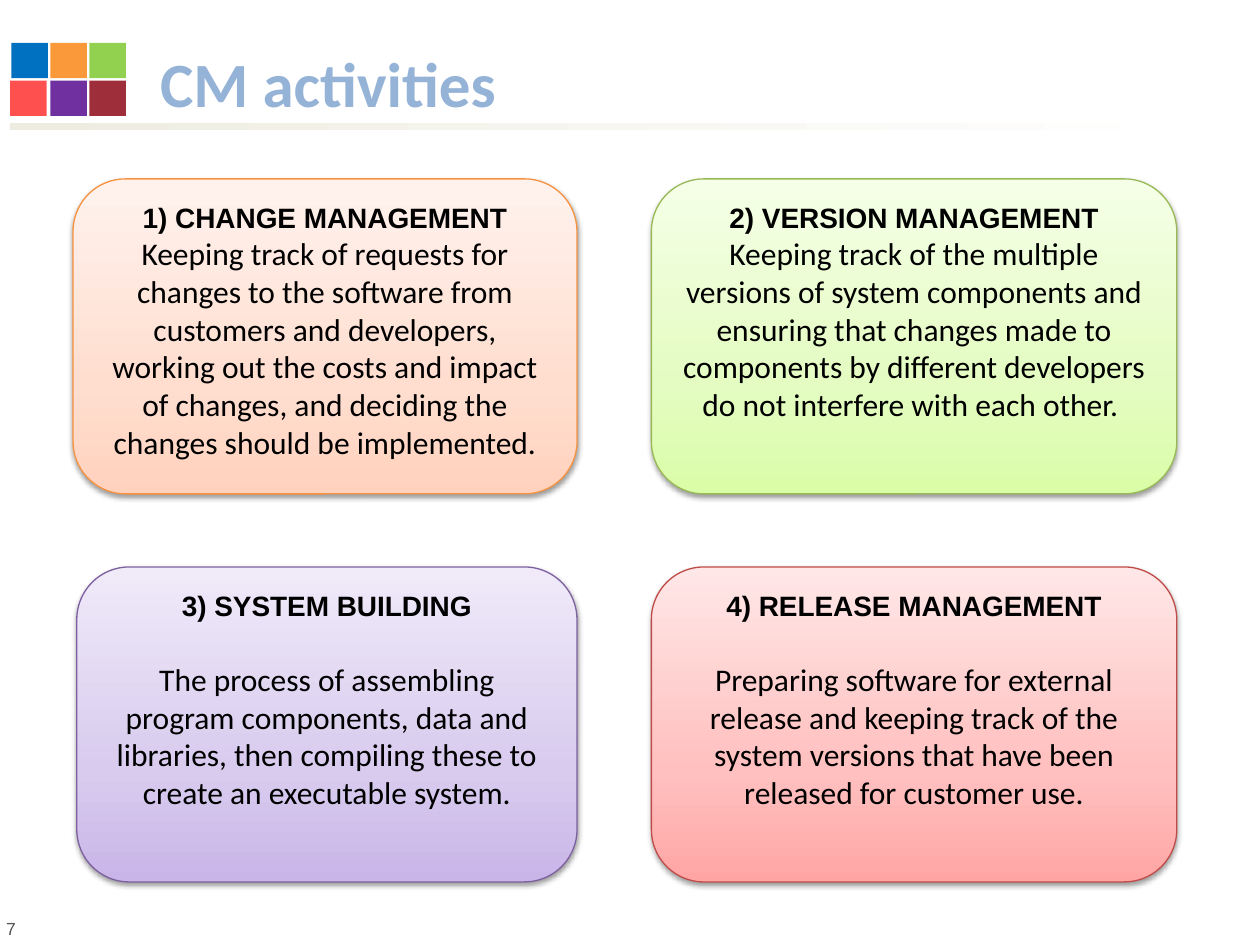
from lxml.etree import SubElement
from pptx import Presentation
from pptx.dml.color import RGBColor
from pptx.enum.shapes import MSO_SHAPE
from pptx.enum.text import MSO_ANCHOR, PP_ALIGN
from pptx.oxml.ns import qn
from pptx.util import Inches, Pt

CARDS = [
    (0.58, 1.42, 4, "F69240", ("FFD2BD", "FFDED0", "FFF2ED"), "1) CHANGE MANAGEMENT",
     "Keeping track of requests for changes to the software from customers and developers, "
     "working out the costs and impact of changes, and deciding the changes should be implemented.", 0),
    (5.17, 1.42, 4.17, "98B955", ("DAFDA7", "E4FCC2", "F5FFE7"), "2) VERSION MANAGEMENT",
     "Keeping track of the multiple versions of system components and ensuring that changes "
     "made to components by different developers do not interfere with each other. ", 0),
    (0.61, 4.5, 3.97, "7D60A0", ("C9B5E8", "D8CBEE", "F0EAF9"), "3) SYSTEM BUILDING",
     "The process of assembling program components, data and libraries, "
     "then compiling these to create an executable system.", 21.6),
    (5.17, 4.5, 4.17, "BF4C48", ("FFA6A5", "FFC0BF", "FFE7E7"), "4) RELEASE MANAGEMENT",
     "Preparing software for external release and keeping track of the system versions "
     "that have been released for customer use.", 21.6),
]
LOGO_ROWS = [
    (0.34, [(0.09, "0070C0"), (0.4, "F99939"), (0.71, "92D050")]),
    (0.64, [(0.08, "FF5050"), (0.4, "7030A0"), (0.71, "9E2E39")]),
]


def rgb(value):
    """Turn a hex string into a colour."""
    return RGBColor.from_string(value)


def set_text(paragraph, text, size, name, color, bold=False, align=PP_ALIGN.LEFT):
    """Write one uniformly formatted paragraph."""
    paragraph.text = text
    paragraph.alignment = align
    font = paragraph.font
    font.size, font.name, font.bold = Pt(size), name, bold
    font.color.rgb = rgb(color)


def add_plain_shape(slide, kind, left, top, width, height):
    """Add a shape without outline or shadow."""
    shape = slide.shapes.add_shape(kind, Inches(left), Inches(top), Inches(width), Inches(height))
    shape.shadow.inherit = False
    shape.line.fill.background()
    return shape


def set_gradient(shape, stops, angle):
    """Fill a shape with a linear gradient of (percent, colour) stops."""
    shape.fill.gradient()
    shape.fill.gradient_angle = angle
    stop_list = next(shape.element.spPr.iter(qn("a:gsLst")))
    for stop in list(stop_list):
        stop_list.remove(stop)
    for percent, color in stops:
        stop = SubElement(stop_list, qn("a:gs"), pos=str(percent * 1000))
        SubElement(stop, qn("a:srgbClr"), val=color)


def add_shadow(shape):
    """Give a shape a soft shadow below it."""
    effects = shape.element.spPr.find(qn("a:effectLst"))
    shadow = SubElement(effects, qn("a:outerShdw"), blurRad=str(Pt(3.1)), dist=str(Pt(1.6)),
                        dir="5400000", rotWithShape="0")
    color = SubElement(shadow, qn("a:srgbClr"), val="000000")
    SubElement(color, qn("a:alpha"), val="38000")


def add_card(slide, left, top, width, line_color, colors, heading, body, gap):
    """Add a rounded card with a heading and a description."""
    card = add_plain_shape(slide, MSO_SHAPE.ROUNDED_RECTANGLE, left, top, width, 2.5)
    set_gradient(card, zip((0, 35, 100), colors), 90)
    card.line.color.rgb = rgb(line_color)
    card.line.width = Pt(0.75)
    add_shadow(card)
    frame = card.text_frame
    frame.word_wrap = True
    frame.vertical_anchor = MSO_ANCHOR.TOP
    set_text(frame.paragraphs[0], heading, 16, "Arial", "000000", True, PP_ALIGN.CENTER)
    description = frame.add_paragraph()
    set_text(description, body, 18, "Calibri", "000000", align=PP_ALIGN.CENTER)
    description.space_before = Pt(gap)


def add_header(slide):
    """Add the rule, the coloured squares and the title."""
    rule = add_plain_shape(slide, MSO_SHAPE.RECTANGLE, 0.08, 0.98, 9.48, 0.05)
    set_gradient(rule, [(0, "EEECE1"), (100, "FFFFFF")], 0)
    for top, squares in LOGO_ROWS:
        for left, color in squares:
            square = add_plain_shape(slide, MSO_SHAPE.RECTANGLE, left, top, 0.29, 0.28)
            square.fill.solid()
            square.fill.fore_color.rgb = rgb(color)
    title = slide.shapes.title
    title.left, title.top = Inches(1.17), Inches(0.32)
    title.width, title.height = Inches(8.67), Inches(0.68)
    title.text_frame.vertical_anchor = MSO_ANCHOR.BOTTOM
    set_text(title.text_frame.paragraphs[0], "CM activities", 36, "Calibri", "95B3D7", True)


def add_page_number(slide, number):
    """Add the page number at the bottom left."""
    box = slide.shapes.add_textbox(Inches(-0.05), Inches(7.24), Inches(5.8), Inches(0.27))
    box.text_frame.word_wrap = True
    set_text(box.text_frame.paragraphs[0], number, 10, "Arial", "555555")


def main():
    """Build and save the slide."""
    presentation = Presentation()
    presentation.slide_width, presentation.slide_height = Inches(10), Inches(7.5)
    slide = presentation.slides.add_slide(presentation.slide_layouts[5])
    add_header(slide)
    add_page_number(slide, "7")
    for card in CARDS:
        add_card(slide, *card)
    presentation.save("out.pptx")


if __name__ == "__main__":
    main()
